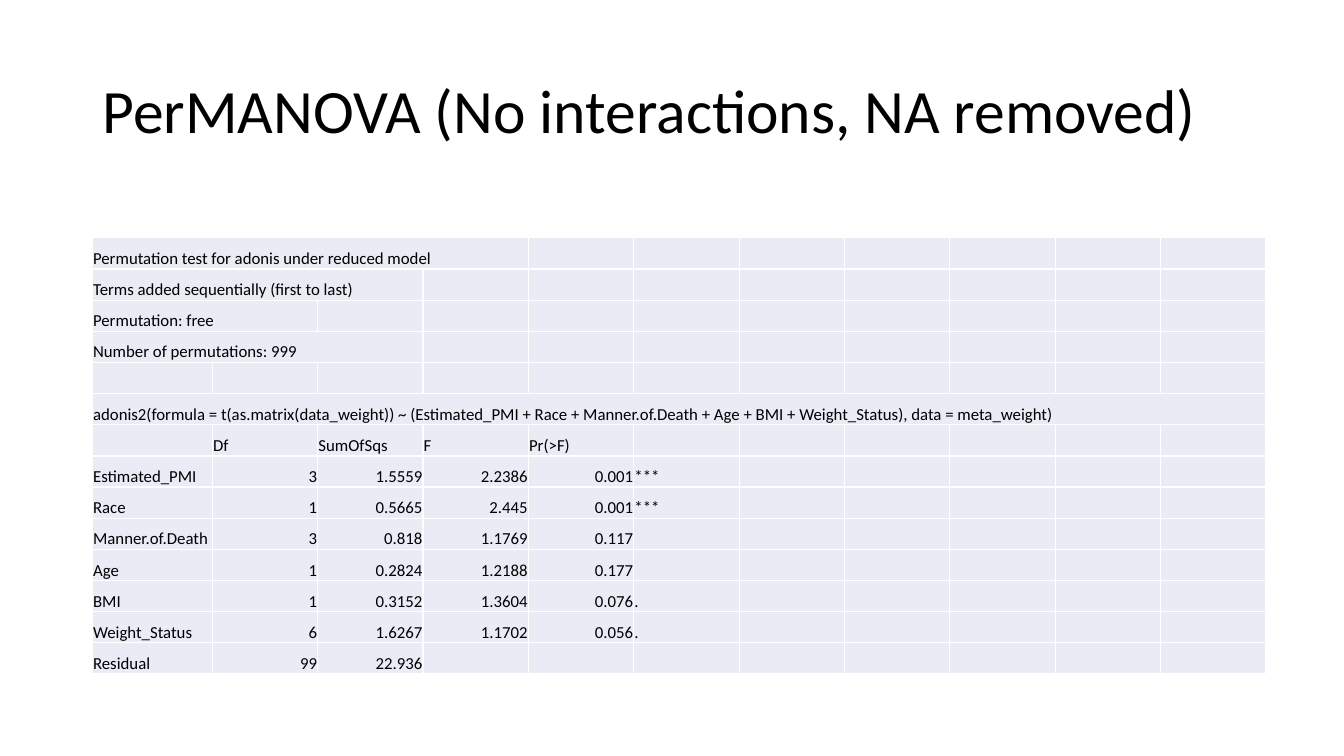
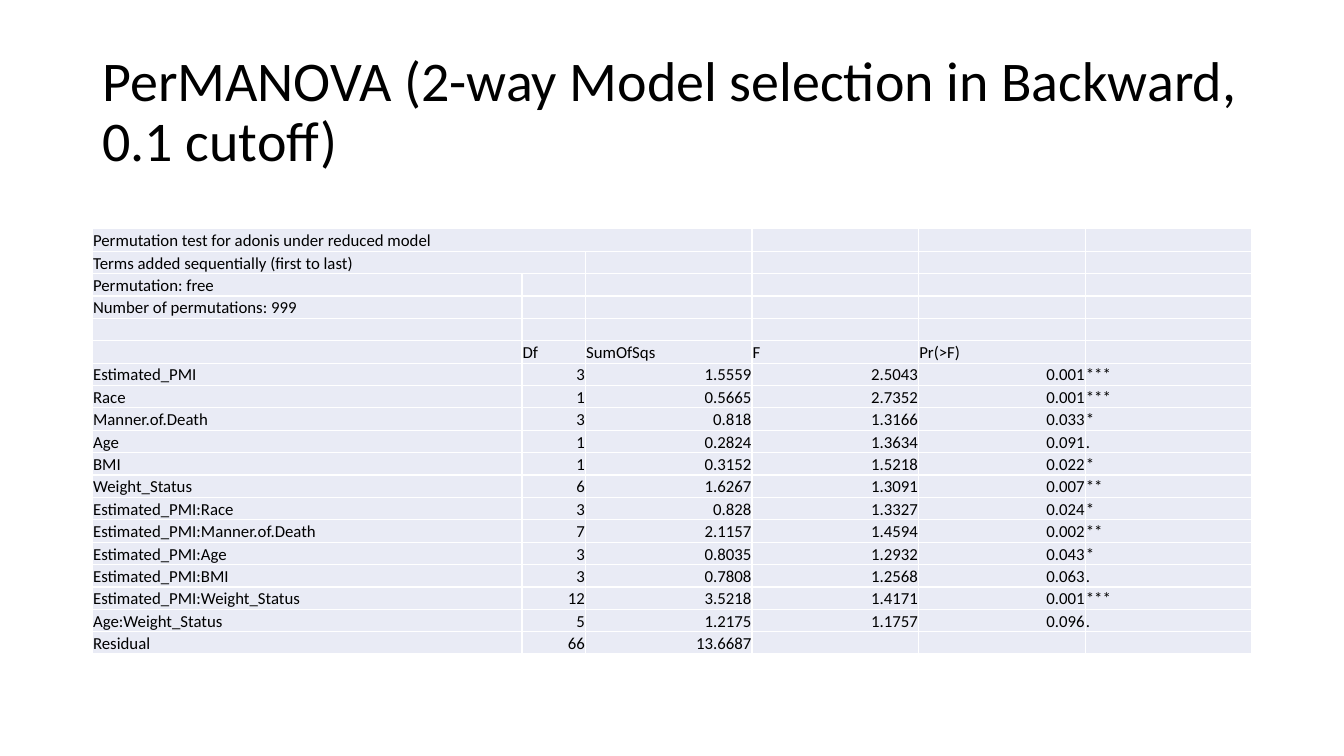
from lxml import etree
from pptx import Presentation
from pptx.dml.color import RGBColor
from pptx.enum.text import MSO_ANCHOR, MSO_AUTO_SIZE, PP_ALIGN
from pptx.oxml.ns import qn
from pptx.util import Inches, Pt

LEFT, RIGHT = PP_ALIGN.LEFT, PP_ALIGN.RIGHT
MIDDLE, BOTTOM = MSO_ANCHOR.MIDDLE, MSO_ANCHOR.BOTTOM
NO_AUTOFIT = MSO_AUTO_SIZE.NONE
TITLE_ONLY = 5

HEADER = ("", "Df", "SumOfSqs", "F", "Pr(>F)")
SETTINGS = (
    "Permutation test for adonis under reduced model",
    "Terms added sequentially (first to last)",
    "Permutation: free",
    "Number of permutations: 999",
)
FORMULA = (
    "adonis2(formula = t(as.matrix(data_weight)) ~ (Estimated_PMI + Race + "
    "Manner.of.Death + Age + BMI + Weight_Status), data = meta_weight)"
)
MAIN_EFFECTS = (
    ("Estimated_PMI", "3", "1.5559", "2.2386", "0.001", "***"),
    ("Race", "1", "0.5665", "2.445", "0.001", "***"),
    ("Manner.of.Death", "3", "0.818", "1.1769", "0.117"),
    ("Age", "1", "0.2824", "1.2188", "0.177"),
    ("BMI", "1", "0.3152", "1.3604", "0.076", "."),
    ("Weight_Status", "6", "1.6267", "1.1702", "0.056", "."),
    ("Residual", "99", "22.936"),
)
SELECTED_MODEL = (
    ("Estimated_PMI", "3", "1.5559", "2.5043", "0.001", "***"),
    ("Race", "1", "0.5665", "2.7352", "0.001", "***"),
    ("Manner.of.Death", "3", "0.818", "1.3166", "0.033", "*"),
    ("Age", "1", "0.2824", "1.3634", "0.091", "."),
    ("BMI", "1", "0.3152", "1.5218", "0.022", "*"),
    ("Weight_Status", "6", "1.6267", "1.3091", "0.007", "**"),
    ("Estimated_PMI:Race", "3", "0.828", "1.3327", "0.024", "*"),
    ("Estimated_PMI:Manner.of.Death", "7", "2.1157", "1.4594", "0.002", "**"),
    ("Estimated_PMI:Age", "3", "0.8035", "1.2932", "0.043", "*"),
    ("Estimated_PMI:BMI", "3", "0.7808", "1.2568", "0.063", "."),
    ("Estimated_PMI:Weight_Status", "12", "3.5218", "1.4171", "0.001", "***"),
    ("Age:Weight_Status", "5", "1.2175", "1.1757", "0.096", "."),
    ("Residual", "66", "13.6687"),
)


def color(hex_string):
    return RGBColor.from_string(hex_string)


class Deck:
    """The style of the presentation and the slide being filled."""

    FONT = "Calibri"
    TEXT = "000000"
    CELL = "E9EBF5"
    BORDER = "FFFFFF"
    MARGIN = 11 / 12
    TABLE_SIZE = 12
    CELL_INSET = Pt(0.5)

    def __init__(self):
        self.file = Presentation()
        self.file.slide_width = Inches(13.33)
        self.file.slide_height = Inches(7.5)
        self.page = None

    def add_page(self, title, size):
        self.page = self.file.slides.add_slide(self.file.slide_layouts[TITLE_ONLY])
        box = self.page.shapes.title
        box.left, box.top = Inches(self.MARGIN), Inches(0.4)
        box.width, box.height = Inches(11.5), Inches(1.45)
        frame = box.text_frame
        frame.text = title
        frame.word_wrap = True
        frame.auto_size = NO_AUTOFIT
        frame.vertical_anchor = MIDDLE
        para = frame.paragraphs[0]
        para.line_spacing = 0.9
        self.format_para(para, size, LEFT)

    def format_para(self, para, size, alignment):
        para.alignment = alignment
        for span in para.runs:
            span.font.name = self.FONT
            span.font.size = Pt(size)
            span.font.color.rgb = color(self.TEXT)

    def add_table(self, top, width, height, first_widths, columns, rows, spans):
        """Columns after first_widths share the rest; spans maps row to merged columns."""
        table = self.page.shapes.add_table(
            len(rows), columns, Inches(self.MARGIN), Inches(top),
            Inches(width), Inches(height)).table
        table.first_row = table.horz_banding = False
        shared = (width - sum(first_widths)) / (columns - len(first_widths))
        widths = list(first_widths) + [shared] * (columns - len(first_widths))
        for column, column_width in zip(table.columns, widths):
            column.width = Inches(column_width)
        for r, values in enumerate(rows):
            table.rows[r].height = Inches(height / len(rows))
            for c in range(columns):
                self.fill_cell(table.cell(r, c), values[c] if c < len(values) else "")
        for r, span in spans.items():
            table.cell(r, 0).merge(table.cell(r, span - 1))

    def fill_cell(self, cell, text):
        """Write text in a bordered cell, with numbers set to the right."""
        cell.margin_left = cell.margin_right = cell.margin_top = self.CELL_INSET
        cell.margin_bottom = 0
        cell.vertical_anchor = BOTTOM
        self.add_borders(cell)
        cell.fill.solid()
        cell.fill.fore_color.rgb = color(self.CELL)
        cell.text_frame.text = text
        para = cell.text_frame.paragraphs[0]
        self.format_para(para, self.TABLE_SIZE, RIGHT if text[:1].isdigit() else LEFT)
        if not text:
            # The end mark keeps empty cells from stretching the row.
            etree.SubElement(para._p, qn("a:endParaRPr"), sz=str(self.TABLE_SIZE * 100))

    def add_borders(self, cell):
        properties = cell._tc.get_or_add_tcPr()
        for side in ("a:lnL", "a:lnR", "a:lnT", "a:lnB"):
            line = etree.SubElement(properties, qn(side), w=str(Pt(1)))
            fill = etree.SubElement(line, qn("a:solidFill"))
            etree.SubElement(fill, qn("a:srgbClr"), val=self.BORDER)


def main():
    deck = Deck()
    settings = [(line,) for line in SETTINGS] + [()]

    deck.add_page("PerMANOVA (No interactions, NA removed)", 44)
    deck.add_table(
        2.36, 11.64, 4.33, (1.19,), 11,
        [*settings, (FORMULA,), HEADER, *MAIN_EFFECTS],
        {0: 4, 1: 3, 2: 2, 3: 3, 5: 11})

    deck.add_page("PerMANOVA (2-way Model selection in Backward, 0.1 cutoff)", 40)
    deck.add_table(
        2.27, 11.5, 4.22, (4.26, 0.63), 6,
        [*settings, HEADER, *SELECTED_MODEL],
        {0: 3, 1: 2})

    deck.file.save("out.pptx")


if __name__ == "__main__":
    main()
